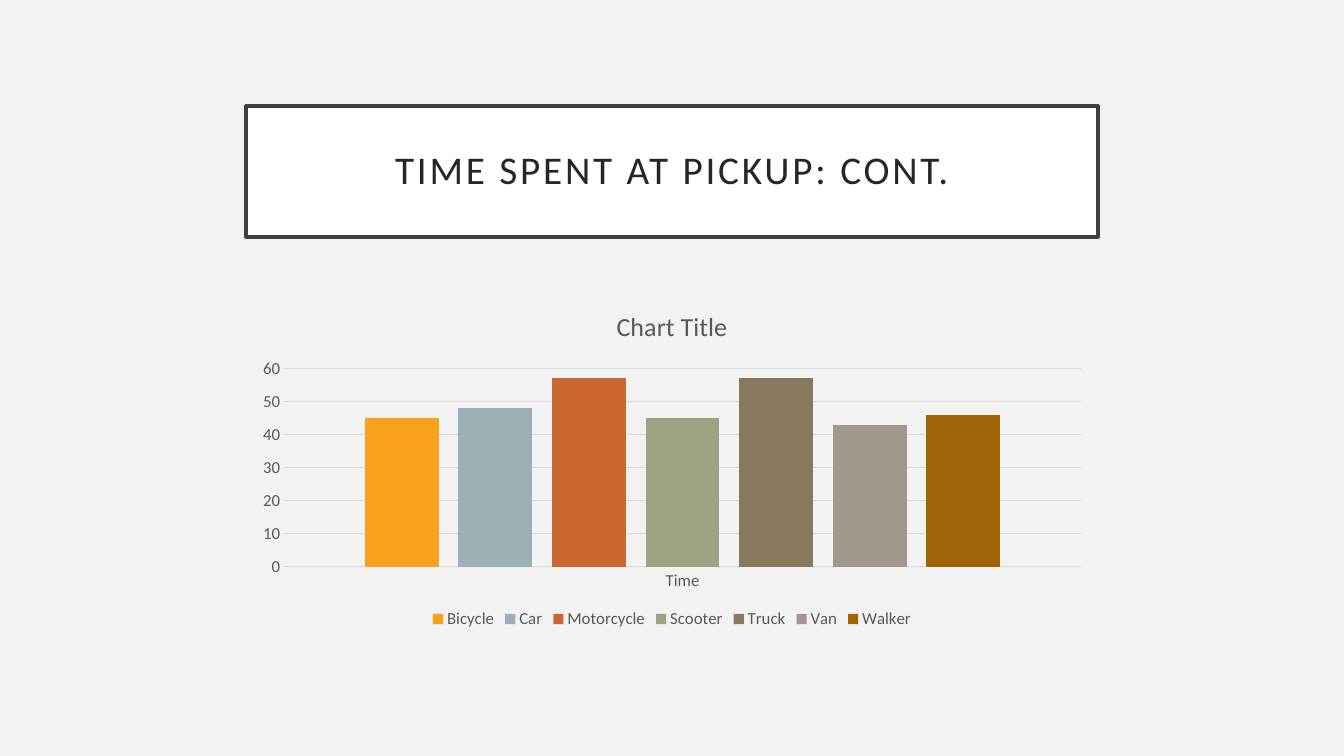
from pptx import Presentation
from pptx.chart.data import CategoryChartData
from pptx.dml.color import RGBColor
from pptx.enum.chart import XL_CHART_TYPE, XL_LEGEND_POSITION, XL_TICK_MARK
from pptx.enum.shapes import MSO_SHAPE
from pptx.enum.text import MSO_ANCHOR, PP_ALIGN
from pptx.util import Inches, Pt

COLORS = {
    "background": "F2F2F2", "white": "FFFFFF", "border": "404040",
    "title": "262626", "label": "595959", "grid": "D9D9D9",
    "Bicycle": "F6A21D", "Car": "9BAFB5", "Motorcycle": "C96731",
    "Scooter": "9CA383", "Truck": "87795D", "Van": "A0988C", "Walker": "9F6406",
}
PICKUP_TIMES = {"Bicycle": 45, "Car": 48, "Motorcycle": 57, "Scooter": 45,
                "Truck": 57, "Van": 43, "Walker": 46}
LEFT, WIDTH = 2.44, 8.45


class SlideBuilder:
    """Holds the slide and its style, and adds each kind of element."""

    def __init__(self, prs, font="Calibri"):
        self.font = font
        self.slide = prs.slides.add_slide(prs.slide_layouts[6])
        self.fill(self.slide.background, "background")

    def rgb(self, name):
        return RGBColor.from_string(COLORS[name])

    def fill(self, target, name):
        target.fill.solid()
        target.fill.fore_color.rgb = self.rgb(name)

    def line(self, line, name, width):
        line.color.rgb = self.rgb(name)
        line.width = Pt(width)

    def style(self, font, size, name):
        font.name = self.font
        font.size = Pt(size)
        font.bold = False
        font.color.rgb = self.rgb(name)

    def title(self, text, top, height):
        sp = self.slide.shapes.add_shape(
            MSO_SHAPE.RECTANGLE, Inches(LEFT), Inches(top), Inches(WIDTH), Inches(height))
        sp.shadow.inherit = False
        self.fill(sp, "white")
        self.line(sp.line, "border", 2.5)
        tf = sp.text_frame
        tf.word_wrap = True
        tf.vertical_anchor = MSO_ANCHOR.MIDDLE
        tf.margin_left = tf.margin_right = tf.margin_top = tf.margin_bottom = Inches(0.2)
        p = tf.paragraphs[0]
        p.alignment = PP_ALIGN.CENTER
        p.line_spacing = 0.9
        r = p.add_run()
        r.text = text
        self.style(r.font, 28, "title")
        r.font._element.set("spc", "200")

    def axis(self, axis):
        axis.major_tick_mark = axis.minor_tick_mark = XL_TICK_MARK.NONE
        self.style(axis.tick_labels.font, 12, "label")

    def column_chart(self, title, category, values, top, height):
        data = CategoryChartData()
        data.categories = [category]
        for name, value in values.items():
            data.add_series(name, [value])
        chart = self.slide.shapes.add_chart(
            XL_CHART_TYPE.COLUMN_CLUSTERED, Inches(LEFT), Inches(top),
            Inches(WIDTH), Inches(height), data).chart
        self.style(chart.font, 10, "label")

        chart.has_title = True
        r = chart.chart_title.text_frame.paragraphs[0].add_run()
        r.text = title
        self.style(r.font, 18.6, "label")
        chart.chart_title.include_in_layout = False

        chart.has_legend = True
        chart.legend.position = XL_LEGEND_POSITION.BOTTOM
        chart.legend.include_in_layout = False
        self.style(chart.legend.font, 12, "label")

        self.axis(chart.category_axis)
        self.line(chart.category_axis.format.line, "grid", 0.75)
        self.axis(chart.value_axis)
        chart.value_axis.minimum_scale = 0
        chart.value_axis.maximum_scale = 60
        chart.value_axis.major_unit = 10
        chart.value_axis.format.line.fill.background()
        self.line(chart.value_axis.major_gridlines.format.line, "grid", 0.75)

        plot = chart.plots[0]
        plot.vary_by_categories = False
        plot.gap_width = 219
        plot.overlap = -27
        for series in plot.series:
            self.fill(series.format, series.name)


def main():
    prs = Presentation()
    prs.slide_width, prs.slide_height = Inches(13.33), Inches(7.5)
    s = SlideBuilder(prs)
    s.title("TIME SPENT AT PICKUP: CONT.", 1.05, 1.3)
    s.column_chart("Chart Title", "Time", PICKUP_TIMES, 2.89, 3.39)
    prs.save("out.pptx")


if __name__ == "__main__":
    main()
